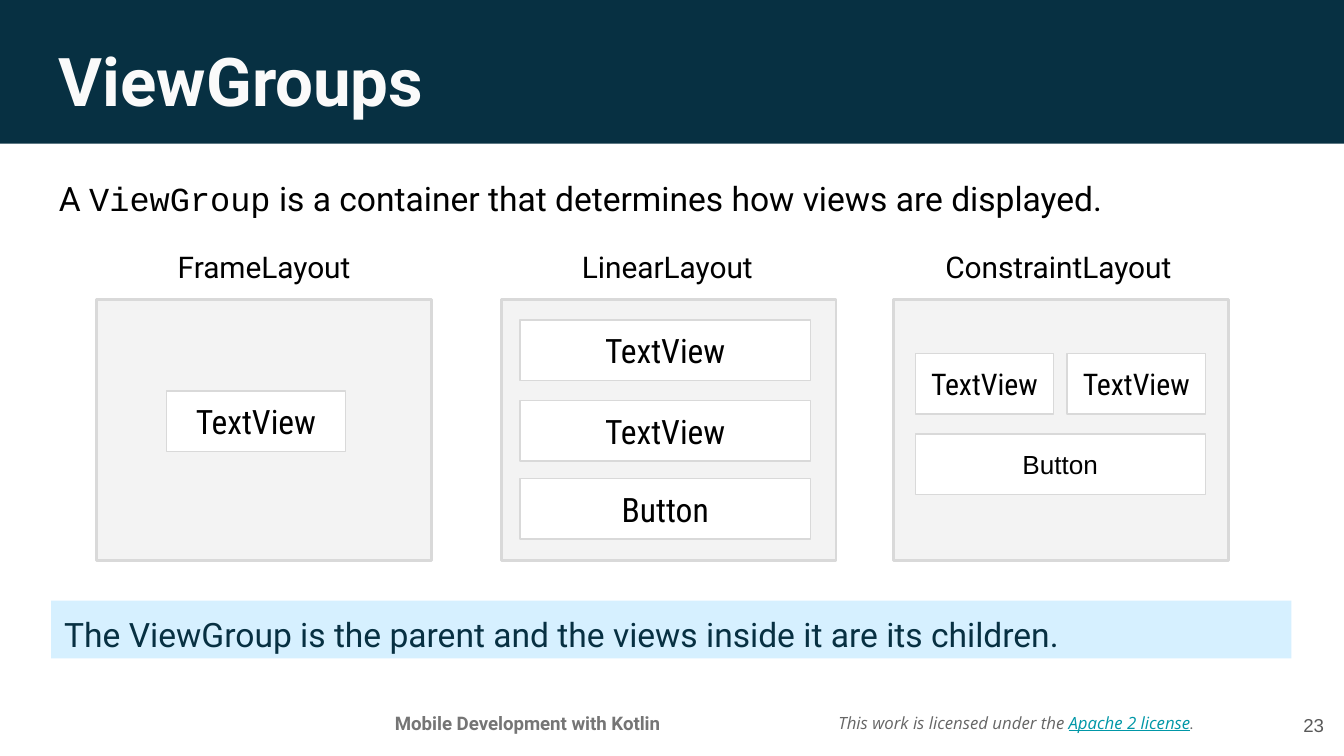
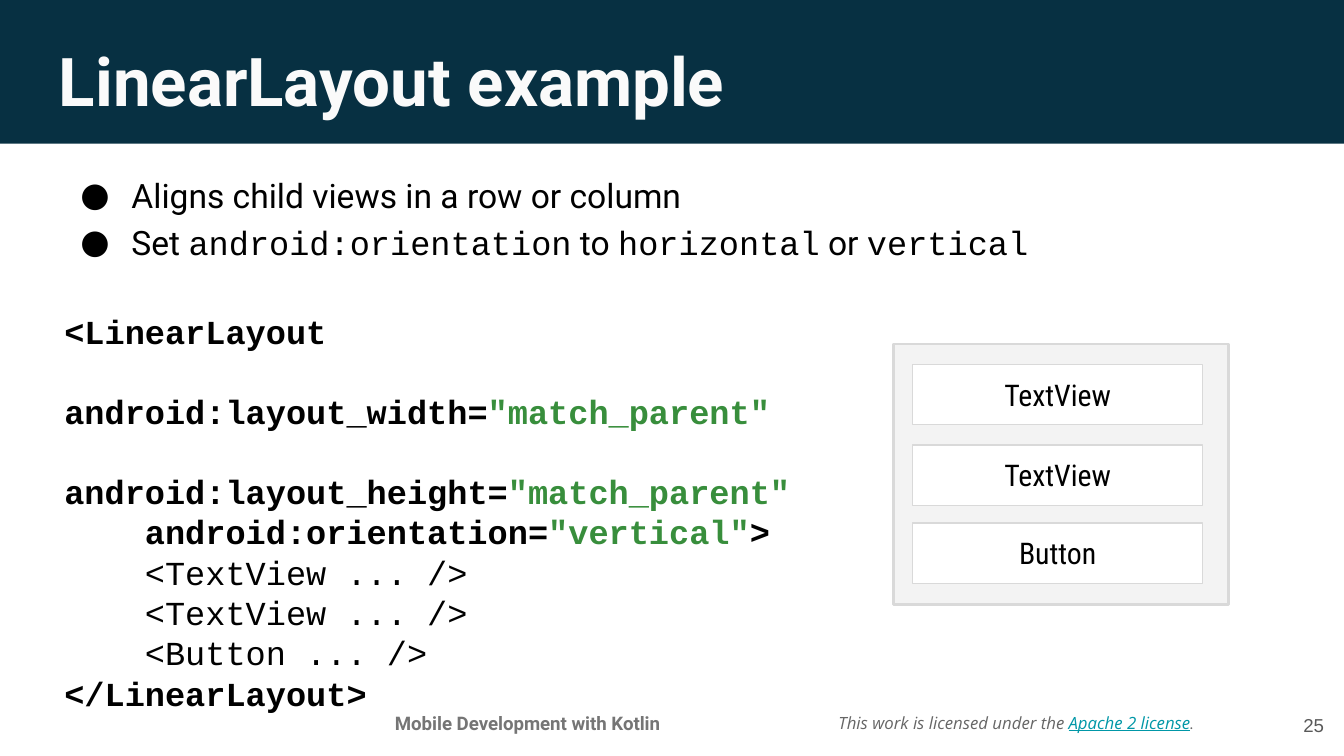
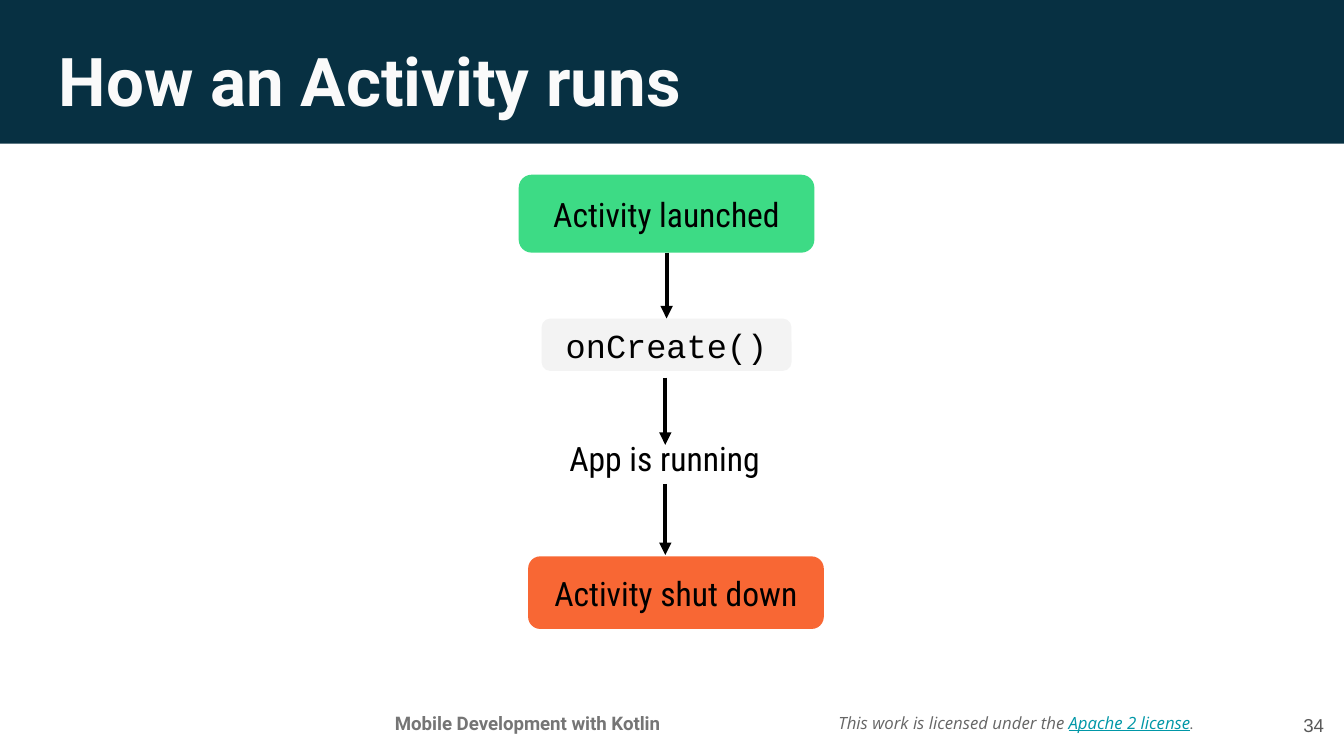
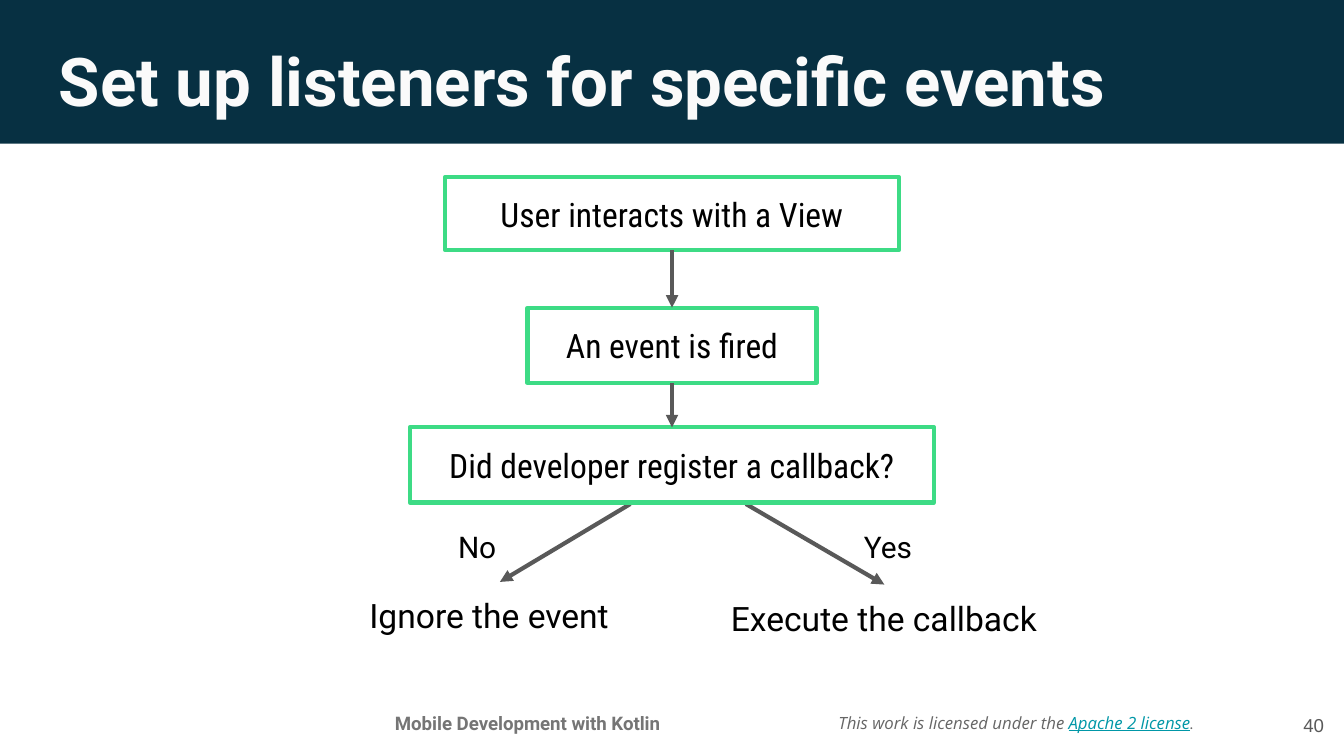
from dataclasses import dataclass

from lxml import etree
from pptx import Presentation
from pptx import util as u
from pptx.dml.color import RGBColor
from pptx.enum import shapes, text
from pptx.oxml.ns import qn


@dataclass(frozen=True)
class Theme:
    navy: str = "073042"
    pale_blue: str = "D6F0FF"
    green: str = "3DDB85"
    orange: str = "F86734"
    code_green: str = "388E3C"
    teal: str = "0097A7"
    white: str = "FFFFFF"
    title_text: str = "FAFAFA"
    panel: str = "F3F3F3"
    border: str = "D9D9D9"
    black: str = "000000"
    dark_grey: str = "595959"
    licence_grey: str = "666666"
    footer_grey: str = "757575"
    sans: str = "Roboto"
    condensed: str = "Roboto Condensed"
    mono: str = "Courier New"
    plain: str = "Arial"
    licence_font: str = "Open Sans"
    title_size: int = 36
    body_size: int = 18
    label_size: int = 16
    button_size: int = 14
    footer_size: int = 10
    licence_size: int = 9
    code_gap: float = 21.4  # space above an opened line of code, in points


THEME = Theme()
SLIDE_WIDTH = 10
SLIDE_HEIGHT = SLIDE_WIDTH * 9 / 16
LEFT, CENTER, RIGHT = text.PP_ALIGN.LEFT, text.PP_ALIGN.CENTER, text.PP_ALIGN.RIGHT
TOP, MIDDLE = text.MSO_ANCHOR.TOP, text.MSO_ANCHOR.MIDDLE
RECT, ROUNDED = shapes.MSO_SHAPE.RECTANGLE, shapes.MSO_SHAPE.ROUNDED_RECTANGLE

# Content. A paragraph is a string or a list of (text, format) spans.
MONO = {"font": THEME.mono}
BOLD = {"bold": True}
VALUE = {"bold": True, "color": THEME.code_green}

FOOTER = "Mobile Development with Kotlin"
LICENCE = [
    ("This work is licensed under the ", {}),
    ("Apache 2 license", {"color": THEME.teal, "underline": True}),
    (".", {"font": THEME.sans}),
]

GROUP_INTRO = [
    ("A ", {}),
    ("ViewGroup", MONO),
    (" is a container that determines how views are displayed.", {}),
]
GROUP_SUMMARY = "The ViewGroup is the parent and the views inside it are its children."
GROUP_LABELS = [("FrameLayout", 0.72), ("LinearLayout", 3.72), ("ConstraintLayout", 6.63)]
STACKED_VIEWS = [("TextView", 0.15), ("TextView", 0.75), ("Button", 1.33)]

LINEAR_POINTS = [
    "Aligns child views in a row or column",
    [
        ("Set ", {}),
        ("android:orientation", MONO),
        (" to ", {}),
        ("horizontal", MONO),
        (" or ", {}),
        ("vertical", MONO),
    ],
]
LINEAR_CODE = [
    [("<LinearLayout", BOLD)],
    [("android:layout_width=", BOLD), ('"match_parent"', VALUE)],
    [("android:layout_height=", BOLD), ('"match_parent"', VALUE)],
    [("android:orientation=", BOLD), ('"vertical"', VALUE), (">", BOLD)],
    "<TextView ... />",
    "<TextView ... />",
    "<Button ... />",
    [("</LinearLayout>", BOLD)],
]
OPENED_LINES = (1, 2)
INDENTED_LINES = (3, 4, 5, 6)

EVENT_STEPS = [
    ("User interacts with a View", 1.32, 3.38, 0.54),
    ("An event is fired", 2.29, 2.15, 0.56),
    ("Did developer register a callback?", 3.18, 3.9, 0.56),
]
EVENT_BRANCHES = [((4.69, 3.75), (3.72, 4.33)), ((5.55, 3.75), (6.58, 4.35))]
EVENT_ANSWERS = [("No", (3.31, 3.9, 0.5, 0.33)), ("Yes", (6.33, 3.9, 0.6, 0.33))]
EVENT_OUTCOMES = [
    ("Ignore the event", (2.65, 4.33, 2.15, 0.43)),
    ("Execute the callback", (5.34, 4.35, 2.48, 0.39)),
]


def rgb(value):
    return RGBColor.from_string(value)


def inches(values):
    return [u.Inches(value) for value in values]


def write(box, content, *, font=THEME.sans, size=THEME.body_size, color=THEME.black,
          bold=False, italic=False, underline=False, align=LEFT, anchor=TOP, spacing=None):
    """Fill a shape with one paragraph or, given a list of paragraphs, several."""
    frame = box.text_frame
    frame.word_wrap = True
    frame.vertical_anchor = anchor
    frame.margin_left = frame.margin_right = u.Inches(0.1)
    frame.margin_top = frame.margin_bottom = u.Inches(0.1)
    single = isinstance(content, str) or isinstance(content[0], tuple)
    for index, spans in enumerate([content] if single else content):
        para = frame.add_paragraph() if index else frame.paragraphs[0]
        para.alignment = align
        if spacing:
            para.line_spacing = spacing
        for words, changes in [(spans, {})] if isinstance(spans, str) else spans:
            look = {"font": font, "color": color, "bold": bold,
                    "underline": underline, **changes}
            span = para.add_run()
            span.text = words
            span.font.name = look["font"]
            span.font.size = u.Pt(size)
            span.font.bold = look["bold"]
            span.font.italic = italic
            span.font.underline = look["underline"]
            span.font.color.rgb = rgb(look["color"])
    return box


def add_text(page, at, content, **style):
    return write(page.shapes.add_textbox(*inches(at)), content, **style)


def add_box(page, at, content=None, *, kind=RECT, fill=None, line=None, width=0.75, **style):
    box = page.shapes.add_shape(kind, *inches(at))
    box.shadow.inherit = False
    if fill:
        box.fill.solid()
        box.fill.fore_color.rgb = rgb(fill)
    else:
        box.fill.background()
    if line:
        box.line.color.rgb = rgb(line)
        box.line.width = u.Pt(width)
    else:
        box.line.fill.background()
    if content:
        write(box, content, **{"align": CENTER, "anchor": MIDDLE,
                               "font": THEME.condensed, **style})
    return box


def add_arrow(page, start, end, color, source=None, target=None):
    arrow = page.shapes.add_connector(
        shapes.MSO_CONNECTOR.STRAIGHT, *inches(start + end))
    if source:
        arrow.begin_connect(source, 2)
    if target:
        arrow.end_connect(target, 0)
    arrow.line.color.rgb = rgb(color)
    arrow.line.width = u.Pt(2.25)
    properties = arrow._element.spPr
    etree.SubElement(properties.find(qn("a:ln")), qn("a:tailEnd"), type="triangle")
    etree.SubElement(properties, qn("a:effectLst"))


def indent(para, left, first=0):
    properties = para._p.get_or_add_pPr()
    properties.set("marL", str(u.Inches(left)))
    properties.set("indent", str(u.Inches(first)))
    return properties


def add_bullet(para):
    properties = indent(para, 0.5, -0.38)
    bullet_color = etree.SubElement(properties, qn("a:buClr"))
    etree.SubElement(bullet_color, qn("a:srgbClr"), val=THEME.black)
    etree.SubElement(properties, qn("a:buFont"), typeface=THEME.sans)
    etree.SubElement(properties, qn("a:buChar"), char="●")


def add_page(deck, title, number):
    """Add a slide with the shared band, title, footer and page number."""
    page = deck.slides.add_slide(deck.slide_layouts[6])
    add_text(page, (6.14, 5.14, 2.94, 0.47), LICENCE, font=THEME.licence_font,
             size=THEME.licence_size, color=THEME.licence_grey, italic=True, anchor=MIDDLE)
    add_box(page, (-0.01, -0.04, 10.01, 1.11), fill=THEME.navy)
    add_text(page, (2.51, 5.21, 2.83, 0.32), FOOTER, size=THEME.footer_size,
             color=THEME.footer_grey, bold=True, align=CENTER)
    add_text(page, (0.34, 0.19, 9.32, 0.63), title, size=THEME.title_size,
             color=THEME.title_text, bold=True)
    add_text(page, (9.35, 5.18, 0.6, 0.43), str(number), font=THEME.plain,
             size=THEME.footer_size, color=THEME.dark_grey, align=RIGHT, anchor=MIDDLE)
    return page


def add_panel(page, left, top):
    add_box(page, (left, top, 2.49, 1.94), fill=THEME.panel, line=THEME.border, width=1.5)


def add_view(page, left, top, width, name, **style):
    add_box(page, (left, top, width, 0.45), name, fill=THEME.white,
            line=THEME.border, **style)


def add_linear_layout(page, left, top, size):
    add_panel(page, left, top)
    for name, offset in STACKED_VIEWS:
        add_view(page, left + 0.14, top + offset, 2.16, name, size=size)


def build_view_groups(deck):
    page = add_page(deck, "ViewGroups", 23)
    add_text(page, (0.34, 1.18, 9.32, 0.45), GROUP_INTRO, spacing=1.15)
    for label, left in GROUP_LABELS:
        add_text(page, (left, 1.75, 2.49, 0.35), label, size=THEME.label_size, align=CENTER)

    panel_top = 2.23
    add_panel(page, 0.72, panel_top)
    add_view(page, 1.24, 2.91, 1.33, "TextView")
    add_linear_layout(page, 3.73, panel_top, THEME.body_size)
    add_panel(page, 6.65, panel_top)
    for left in (6.81, 7.94):
        add_view(page, left, 2.63, 1.03, "TextView", size=THEME.label_size)
    add_view(page, 6.81, 3.23, 2.16, "Button", font=THEME.plain, size=THEME.button_size)

    add_box(page, (0.38, 4.47, 9.23, 0.43), GROUP_SUMMARY, fill=THEME.pale_blue,
            font=THEME.sans, color=THEME.navy, align=LEFT, anchor=TOP)


def build_linear_layout(deck):
    page = add_page(deck, "LinearLayout example", 25)
    code = add_text(page, (0.38, 2.21, 5.75, 2.65), LINEAR_CODE, font=THEME.mono)
    lines = code.text_frame.paragraphs
    for index in OPENED_LINES:
        lines[index].space_before = u.Pt(THEME.code_gap)
    for index in INDENTED_LINES:
        indent(lines[index], 0.6)
    add_linear_layout(page, 6.65, 2.56, THEME.label_size)
    points = add_text(page, (0.38, 1.16, 9.2, 0.77), LINEAR_POINTS, spacing=1.15)
    for para in points.text_frame.paragraphs:
        add_bullet(para)


def build_activity_run(deck):
    page = add_page(deck, "How an Activity runs", 34)
    launched = add_box(page, (3.86, 1.3, 2.2, 0.58), "Activity launched",
                       kind=ROUNDED, fill=THEME.green)
    add_text(page, (3.93, 3.16, 2.03, 0.43), "App is running",
             font=THEME.condensed, align=CENTER)
    add_box(page, (3.93, 4.14, 2.2, 0.54), "Activity shut down",
            kind=ROUNDED, fill=THEME.orange)
    created = add_box(page, (4.03, 2.37, 1.86, 0.39), "onCreate()",
                      kind=ROUNDED, fill=THEME.panel, font=THEME.mono)
    add_arrow(page, (4.96, 1.88), (4.96, 2.37), THEME.black, launched, created)
    for top, bottom in ((2.81, 3.31), (3.6, 4.13)):
        add_arrow(page, (4.95, top), (4.95, bottom), THEME.black)


def build_listeners(deck):
    page = add_page(deck, "Set up listeners for specific events", 40)
    for start, end in EVENT_BRANCHES:
        add_arrow(page, start, end, THEME.dark_grey)
    middle = SLIDE_WIDTH / 2
    steps = [
        add_box(page, (middle - width / 2, top, width, height), label,
                line=THEME.green, width=2.25)
        for label, top, width, height in EVENT_STEPS
    ]
    for source, target in zip(steps, steps[1:]):
        add_arrow(page, (middle, 0), (middle, 0), THEME.dark_grey, source, target)
    for answer, at in EVENT_ANSWERS:
        add_text(page, at, answer, size=THEME.label_size, anchor=MIDDLE)
    for outcome, at in EVENT_OUTCOMES:
        add_text(page, at, outcome)


def main():
    deck = Presentation()
    deck.slide_width, deck.slide_height = inches((SLIDE_WIDTH, SLIDE_HEIGHT))
    build_view_groups(deck)
    build_linear_layout(deck)
    build_activity_run(deck)
    build_listeners(deck)
    deck.save("out.pptx")


if __name__ == "__main__":
    main()
